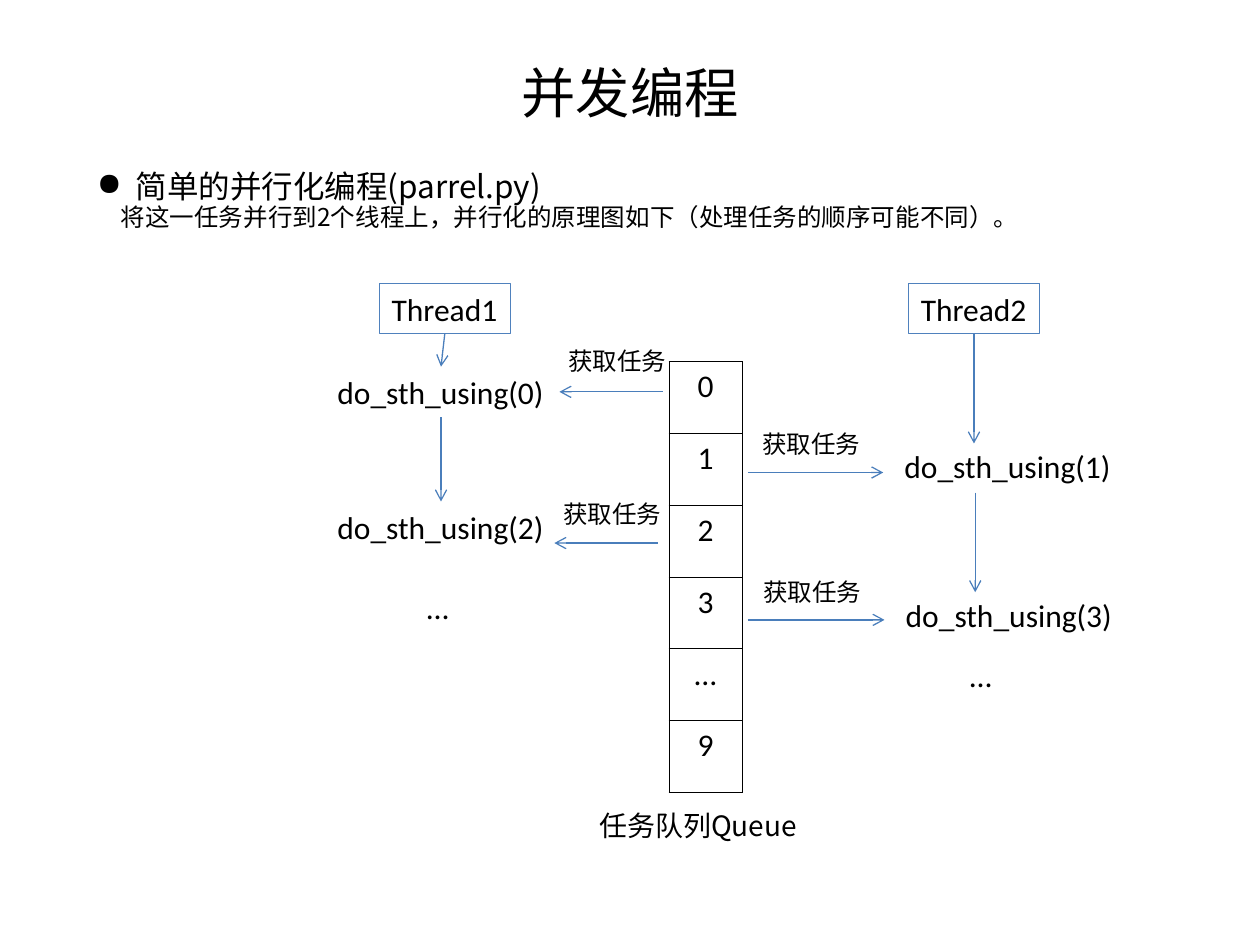
from dataclasses import dataclass

import pptx
import pptx.dml.color
import pptx.enum.shapes
import pptx.enum.text
import pptx.oxml
import pptx.oxml.ns
import pptx.util
from lxml import etree

Inches = pptx.util.Inches
Pt = pptx.util.Pt
qn = pptx.oxml.ns.qn
ALIGN = pptx.enum.text.PP_ALIGN
ANCHOR = pptx.enum.text.MSO_ANCHOR
AUTO = pptx.enum.text.MSO_AUTO_SIZE
TOP, BOTTOM = 0, 2


@dataclass
class Theme:
    text: str = "000000"
    box_line: str = "4F81BD"
    arrow: str = "4A7EBB"
    latin: str = "Calibri"
    cjk: str = "Noto Sans CJK SC"
    title: float = 31
    body: float = 18
    caption: float = 16
    label: float = 14
    line: float = 0.75
    grid: float = 0.45


def rgb(value):
    return pptx.dml.color.RGBColor.from_string(value)


class Builder:
    def __init__(self, theme, slide):
        self.theme = theme
        self.s = slide

    def run(self, p, text, size, font):
        r = p.add_run()
        r.text = text
        r.font.color.rgb = rgb(self.theme.text)
        for name, value in {"size": Pt(size), "name": font}.items():
            setattr(r.font, name, value)
        ea = etree.SubElement(r.font._element, qn("a:ea"))
        ea.set("typeface", font)

    def text(self, x, y, w, h, text, size, font, **frame):
        sp = self.s.shapes.add_textbox(*map(Inches, (x, y, w, h)))
        tf = sp.text_frame
        style = {"word_wrap": False, "auto_size": AUTO.SHAPE_TO_FIT_TEXT}
        for name, value in {**style, **frame}.items():
            setattr(tf, name, value)
        self.run(tf.paragraphs[0], text, size, font)
        return sp

    def title(self, text):
        sp = self.text(0.5, 0.3, 9, 0.85, text, self.theme.title, self.theme.cjk,
                       word_wrap=True, auto_size=AUTO.NONE,
                       vertical_anchor=ANCHOR.MIDDLE)
        sp.text_frame.paragraphs[0].alignment = ALIGN.CENTER

    def body(self, heading, detail):
        t = self.theme
        sp = self.text(0.67, 1.31, 8.51, 0.64, heading, t.body, t.cjk, word_wrap=True)
        tf = sp.text_frame
        p = tf.paragraphs[0]
        pPr = p._p.get_or_add_pPr()
        pPr.set("marL", str(Inches(0.31)))
        pPr.set("indent", str(-Inches(0.31)))
        p.line_spacing = 0.9
        etree.SubElement(pPr, qn("a:buChar")).set("char", "●")
        p = tf.add_paragraph()
        p.level = 1
        p.line_spacing = 0.9
        pPr = p._p.get_or_add_pPr()
        pPr.set("marL", str(Inches(0.19)))
        pPr.set("indent", "0")
        self.run(p, detail, t.label, t.cjk)

    def code(self, x, y, text, w=1.84):
        return self.text(x, y, w, 0.4, text, self.theme.body, self.theme.latin)

    def thread(self, x, text):
        sp = self.s.shapes.add_shape(pptx.enum.shapes.MSO_SHAPE.RECTANGLE,
                                     *map(Inches, (x, 2.25, 1.04, 0.4)))
        sp.shadow.inherit = False
        sp.fill.background()
        sp.line.color.rgb = rgb(self.theme.box_line)
        sp.line.width = Pt(self.theme.line)
        tf = sp.text_frame
        style = {"word_wrap": False, "auto_size": AUTO.SHAPE_TO_FIT_TEXT,
                 "vertical_anchor": ANCHOR.TOP}
        for name, value in style.items():
            setattr(tf, name, value)
        p = tf.paragraphs[0]
        p.alignment = ALIGN.LEFT
        self.run(p, text, self.theme.body, self.theme.latin)
        return sp

    def arrow(self, x1, y1, x2, y2, begin=None, end=None):
        """Draw an arrow; begin and end are shapes joined at bottom and top."""
        c = self.s.shapes.add_connector(pptx.enum.shapes.MSO_CONNECTOR.STRAIGHT,
                                        *map(Inches, (x1, y1, x2, y2)))
        if begin is not None:
            c.begin_connect(begin, BOTTOM)
        if end is not None:
            c.end_connect(end, TOP)
        c.line.color.rgb = rgb(self.theme.arrow)
        c.line.width = Pt(self.theme.line)
        etree.SubElement(c.line._get_or_add_ln(), qn("a:tailEnd")).set("type", "arrow")
        etree.SubElement(c._element.spPr, qn("a:effectLst"))

    def fetch(self, label_x, label_y, x1, x2, y):
        """Label and arrow for a thread taking a task from the queue."""
        self.text(label_x, label_y, 0.98, 0.34, "获取任务",
                  self.theme.label, self.theme.cjk)
        self.arrow(x1, y, x2, y)

    def border(self, cell):
        tcPr = cell._tc.get_or_add_tcPr()
        for i, side in enumerate(("lnL", "lnR", "lnT", "lnB")):
            ln = pptx.oxml.parse_xml(
                f'<a:{side} {pptx.oxml.ns.nsdecls("a")} w="{Pt(self.theme.grid)}">'
                f'<a:solidFill><a:srgbClr val="{self.theme.text}"/></a:solidFill>'
                f'</a:{side}>')
            tcPr.insert(i, ln)

    def queue(self, x, y, w, row_h, items):
        frame = self.s.shapes.add_table(
            len(items), 1, *map(Inches, (x, y, w, row_h * len(items))))
        table = frame.table
        table.first_row = table.horz_banding = False
        for i, item in enumerate(items):
            table.rows[i].height = Inches(row_h)
            cell = table.cell(i, 0)
            cell.fill.background()
            self.border(cell)
            p = cell.text_frame.paragraphs[0]
            p.alignment = ALIGN.CENTER
            self.run(p, item, self.theme.body, self.theme.latin)


def main():
    prs = pptx.Presentation()
    prs.slide_width, prs.slide_height = Inches(10), Inches(7.5)
    theme = Theme()
    b = Builder(theme, prs.slides.add_slide(prs.slide_layouts[6]))

    b.title("并发编程")
    b.body("简单的并行化编程(parrel.py)",
           "将这一任务并行到2个线程上，并行化的原理图如下（处理任务的顺序可能不同）。")
    b.queue(5.31, 2.87, 0.58, 0.57, ["0", "1", "2", "3", "…", "9"])
    b.text(4.66, 6.37, 1.83, 0.37, "任务队列Queue", theme.caption, theme.cjk)

    thread1, thread2 = b.thread(3.01, "Thread1"), b.thread(7.21, "Thread2")
    task0 = b.code(2.58, 2.91, "do_sth_using(0)")
    task2 = b.code(2.58, 3.98, "do_sth_using(2)")
    b.code(7.08, 3.5, "do_sth_using(1)")
    b.code(7.09, 4.68, "do_sth_using(3)")
    b.code(3.29, 4.62, "…", 0.37)
    b.code(7.6, 5.16, "…", 0.37)

    b.arrow(3.53, 2.65, 3.5, 2.91, thread1, task0)
    b.arrow(3.5, 3.31, 3.5, 3.98, task0, task2)
    b.arrow(7.73, 2.65, 7.73, 3.52, thread2)
    b.arrow(7.74, 3.91, 7.74, 4.7)

    b.fetch(4.41, 2.7, 5.26, 4.44, 3.11)
    b.fetch(5.95, 3.36, 5.94, 7.01, 3.75)
    b.fetch(4.37, 3.91, 5.22, 4.4, 4.31)
    b.fetch(5.96, 4.53, 5.94, 7.02, 4.92)

    prs.save("out.pptx")


if __name__ == "__main__":
    main()
